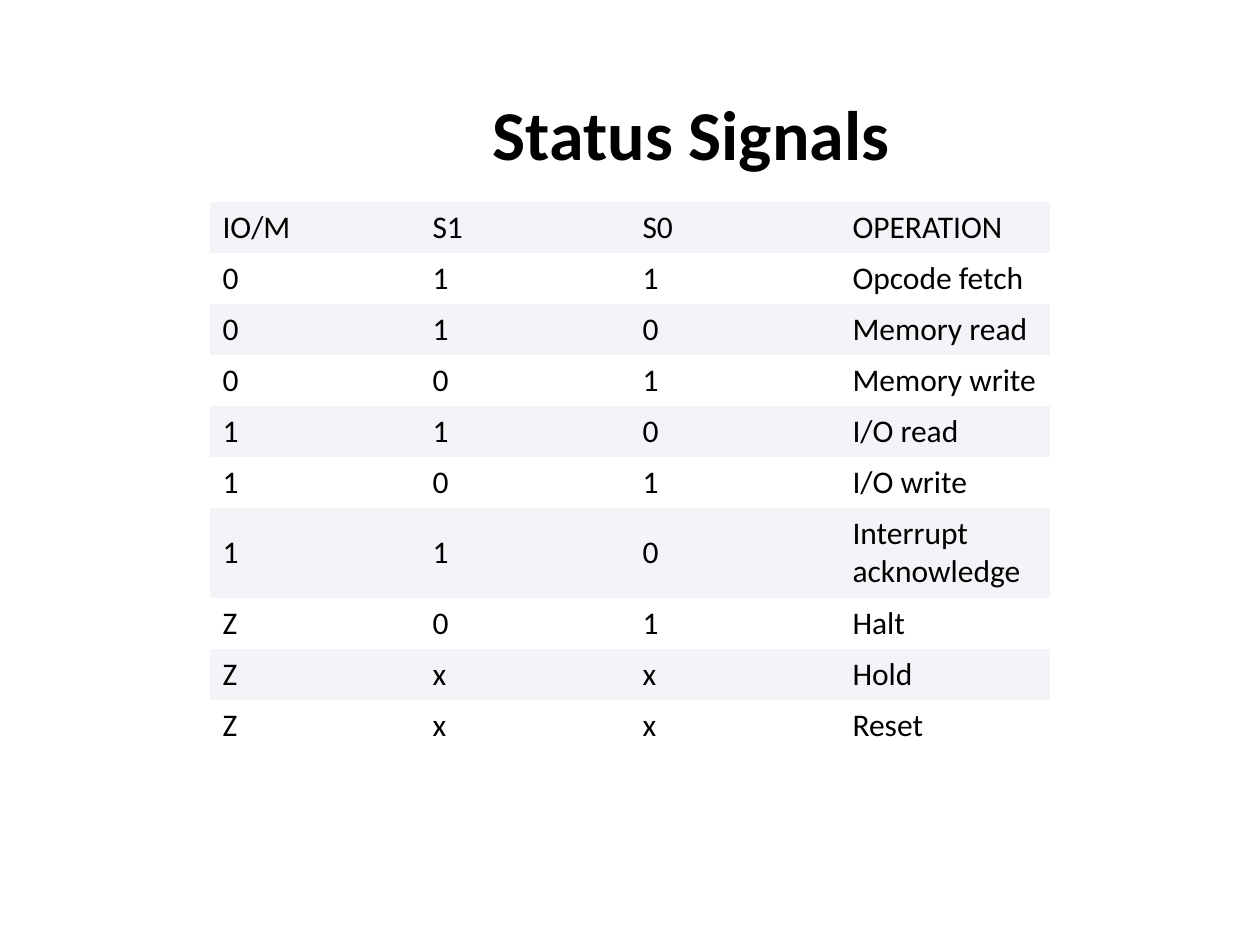
"""Builds the status signals slide: a title above a banded table of machine operations."""
from typing import NamedTuple

from pptx import Presentation, util as u
from pptx.dml import color
from pptx.enum import text

PX = u.Inches(1) // 126
COLORS = {"ink": "000000", "band": "F4F4F8"}
FONT = "Calibri"
LEFT, TOP, COLUMN_WIDTH = 210, 202, 210
LINE_HEIGHT, WRAPPED_HEIGHT = 51, 90


class Signal(NamedTuple):
    io_m: str
    s1: str
    s0: str
    operation: str
    height: int = LINE_HEIGHT

    @property
    def labels(self) -> tuple[str, ...]:
        return self[:4]


SIGNALS = [
    Signal("IO/M", "S1", "S0", "OPERATION"),
    Signal("0", "1", "1", "Opcode fetch"),
    Signal("0", "1", "0", "Memory read"),
    Signal("0", "0", "1", "Memory write"),
    Signal("1", "1", "0", "I/O read"),
    Signal("1", "0", "1", "I/O write"),
    Signal("1", "1", "0", "Interrupt acknowledge", WRAPPED_HEIGHT),
    Signal("Z", "0", "1", "Halt"),
    Signal("Z", "x", "x", "Hold"),
    Signal("Z", "x", "x", "Reset"),
]


def rgb(name: str) -> color.RGBColor:
    return color.RGBColor.from_string(COLORS[name])


def write(frame, words: str, *, size: int, bold: bool = False,
          align=text.PP_ALIGN.LEFT, anchor=text.MSO_ANCHOR.MIDDLE) -> None:
    frame.vertical_anchor = anchor
    paragraph = frame.paragraphs[0]
    paragraph.alignment = align
    run = paragraph.add_run()
    run.text = words
    run.font.name, run.font.size, run.font.bold = FONT, u.Pt(size), bold
    run.font.color.rgb = rgb("ink")


def draw_signals(slide, signals: list[Signal]) -> None:
    columns = len(signals[0].labels)
    height = sum(signal.height for signal in signals)
    grid = slide.shapes.add_table(
        len(signals), columns, LEFT * PX, TOP * PX,
        columns * COLUMN_WIDTH * PX, height * PX).table
    grid.first_row = grid.horz_banding = False
    no_grid = "{2D5ABB26-0587-4C30-8999-92F81FD0307C}"
    grid._tbl.tblPr[0].text = no_grid
    for index, (row, signal) in enumerate(zip(grid.rows, signals)):
        row.height = signal.height * PX
        for cell, label in zip(row.cells, signal.labels):
            if index % 2:
                cell.fill.background()
            else:
                cell.fill.solid()
                cell.fill.fore_color.rgb = rgb("band")
            cell.vertical_anchor = text.MSO_ANCHOR.MIDDLE
            write(cell.text_frame, label, size=18)


def draw_title(slide, words: str) -> None:
    heading = slide.shapes.title
    heading.left, heading.top = 400 * PX, 84 * PX
    heading.width, heading.height = 598 * PX, 97 * PX
    heading.text_frame.auto_size = text.MSO_AUTO_SIZE.SHAPE_TO_FIT_TEXT
    write(heading.text_frame, words, size=40, bold=True,
          align=text.PP_ALIGN.CENTER, anchor=text.MSO_ANCHOR.TOP)


def main() -> None:
    deck = Presentation()
    deck.slide_width, deck.slide_height = u.Inches(10), u.Inches(7.5)
    slide = deck.slides.add_slide(deck.slide_layouts.get_by_name("Title Only"))
    draw_title(slide, "Status Signals ")
    draw_signals(slide, SIGNALS)
    deck.save("out.pptx")


main()
